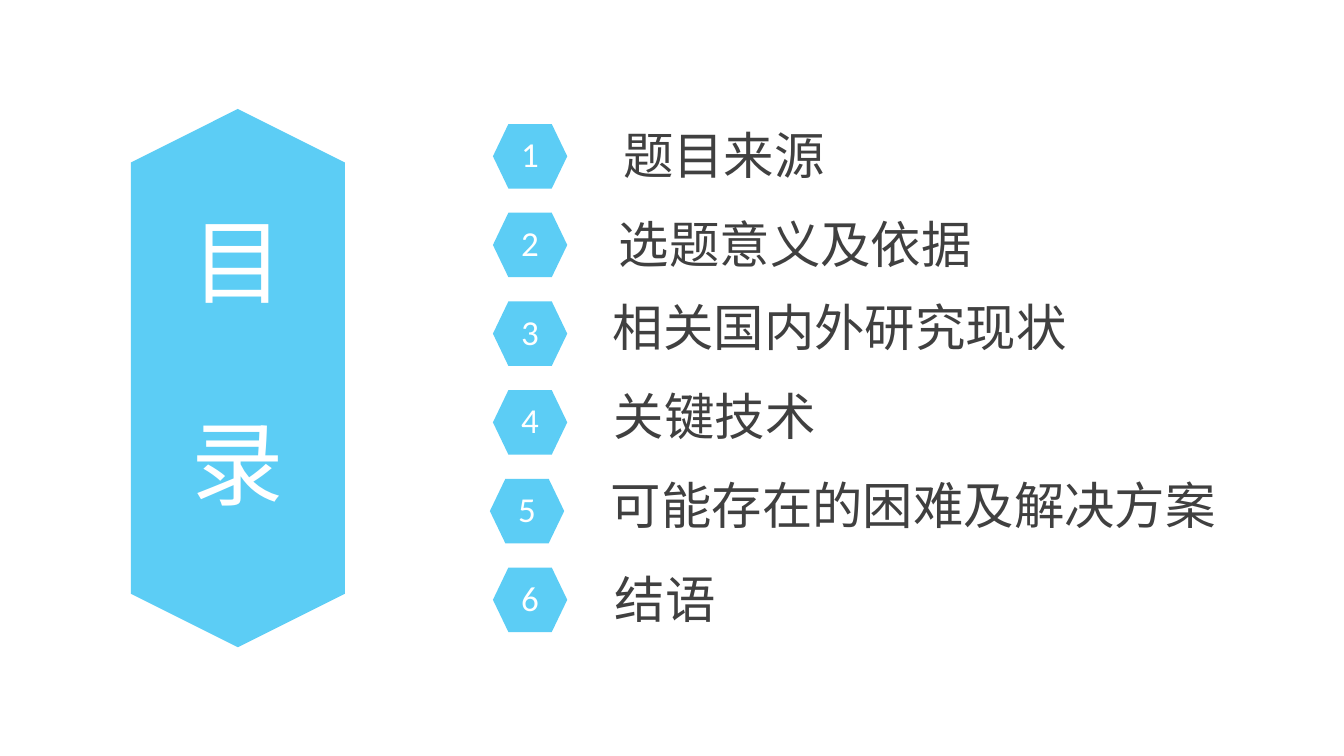
from pptx import Presentation
from pptx.dml.color import RGBColor
from pptx.enum.shapes import MSO_SHAPE
from pptx.enum.text import MSO_ANCHOR, MSO_AUTO_SIZE, PP_ALIGN
from pptx.oxml.ns import qn
from pptx.util import Pt

HEXAGON = MSO_SHAPE.HEXAGON
MIDDLE, TOP = MSO_ANCHOR.MIDDLE, MSO_ANCHOR.TOP
CENTER, LEFT = PP_ALIGN.CENTER, PP_ALIGN.LEFT
GROW, FIXED = MSO_AUTO_SIZE.SHAPE_TO_FIT_TEXT, MSO_AUTO_SIZE.NONE

COLORS = {"sky": "5CCDF5", "white": "FFFFFF", "ink": "404040"}
CJK_FONT, DIGIT_FONT = "Noto Sans CJK SC", "Calibri"

ROW_PITCH = 63.36
BADGE_WIDTH, BADGE_HEIGHT = 53.1, 46.1
# topic, row left, label offset from row left, label width, label inset
TOPICS = [
    ("题目来源", 352.1, 89.3, 452.9, 3.6),
    ("选题意义及依据", 352.1, 86.4, 434.9, 3.6),
    ("相关国内外研究现状", 352.1, 85.7, 434.9, 0),
    ("关键技术", 352.1, 86.4, 434.9, 0),
    ("可能存在的困难及解决方案", 349.9, 86.4, 439.9, 0),
    ("结语", 352.1, 83.5, 427, 3.6),
]


def write_text(shape, lines, font, size, color, align, anchor, inset, auto_size, gap=0):
    """Fill a shape with one paragraph per line, gap points apart."""
    frame = shape.text_frame
    frame_format = {
        "margin_left": Pt(inset), "margin_right": Pt(inset),
        "margin_top": Pt(inset), "margin_bottom": Pt(inset),
        "vertical_anchor": anchor, "word_wrap": True, "auto_size": auto_size,
    }
    for name, value in frame_format.items():
        setattr(frame, name, value)
    for index, line in enumerate(lines):
        paragraph = frame.add_paragraph() if index else frame.paragraphs[0]
        paragraph.alignment = align
        paragraph.line_spacing = 0.9
        paragraph.space_before = Pt(gap if index else 0)
        run = paragraph.add_run()
        run.text = line
        run.font.name, run.font.size = font, Pt(size)
        run.font.color.rgb = RGBColor.from_string(COLORS[color])
        east_asian = run.font._element.makeelement(qn("a:ea"), {"typeface": font})
        run.font._element.find(qn("a:latin")).addnext(east_asian)


def add_hexagon(slide, left, top, width, height, point):
    """Place a hexagon; point is its tip length as a share of the height."""
    hexagon = slide.shapes.add_shape(HEXAGON, Pt(left), Pt(top), Pt(width), Pt(height))
    hexagon.adjustments[0] = point
    hexagon.shadow.inherit = False
    hexagon.fill.solid()
    hexagon.fill.fore_color.rgb = RGBColor.from_string(COLORS["sky"])
    hexagon.line.fill.background()
    return hexagon


def add_title_banner(slide, left, top, width, height):
    # Upright banner: a long hexagon turned about its centre
    turned_left = left + (width - height) / 2
    turned_top = top + (height - width) / 2
    banner = add_hexagon(slide, turned_left, turned_top, height, width, 0.25)
    banner.rotation = 270

    # Vertical title
    title_width, title_height = 73.4, 239.8
    title = slide.shapes.add_textbox(
        Pt(left + (width - title_width) / 2), Pt(top + 64.8),
        Pt(title_width), Pt(title_height))
    write_text(title, "目录", CJK_FONT, 66, "white", CENTER, MIDDLE, 0, GROW, gap=72.5)


def add_topic_row(slide, number, top, topic, left, label_offset, label_width, inset):
    # Number badge
    badge = add_hexagon(slide, left, top, BADGE_WIDTH, BADGE_HEIGHT, 0.24)
    write_text(badge, [str(number)], DIGIT_FONT, 25, "white", CENTER, MIDDLE, 0, FIXED)

    # Topic label
    label = slide.shapes.add_textbox(
        Pt(left + label_offset), Pt(top + 1.4), Pt(label_width), Pt(43.9 + 2 * inset))
    write_text(label, [topic], CJK_FONT, 36, "ink", LEFT, TOP, inset, GROW)


def main():
    deck = Presentation()
    deck.slide_width, deck.slide_height = Pt(960), Pt(540)
    slide = deck.slides.add_slide(deck.slide_layouts[6])
    add_title_banner(slide, 93.5, 77.8, 152.9, 384.5)
    for index, topic_row in enumerate(TOPICS):
        add_topic_row(slide, index + 1, 88.6 + index * ROW_PITCH, *topic_row)
    deck.save("out.pptx")


if __name__ == "__main__":
    main()
